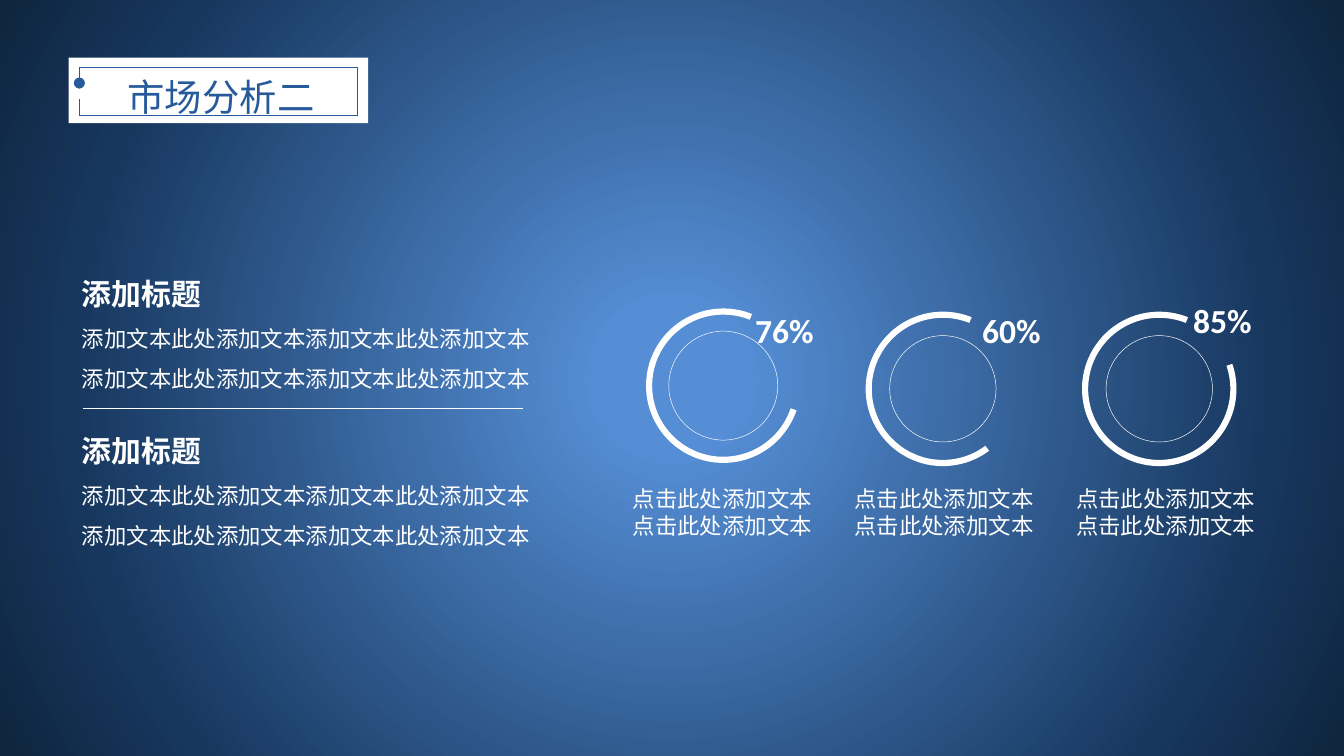
import pptx
import pptx.util
import pptx.oxml
import pptx.oxml.ns
import pptx.dml.color
import pptx.enum.text
import pptx.enum.shapes
from lxml import etree

Cm, Pt = pptx.util.Cm, pptx.util.Pt
KIND = pptx.enum.shapes.MSO_SHAPE
HEX = {"white": "FFFFFF", "blue": "265A9A"}
GLOW = [(9, "558ED5"), (78, "17375E"), (100, "0F243E")]
HAN, LATIN = "Noto Sans CJK SC", "Calibri"

TITLE = "市场分析二"
HEAD = "添加标题"
BODY = ["添加文本此处添加文本添加文本此处添加文本"] * 2
NOTE = ["点击此处添加文本"] * 2
TOPS = [4.75, 7.72]
FRAME = [(1.5, 1.57), (1.5, 1.27), (6.76, 1.27), (6.76, 2.18), (1.5, 2.18), (1.5, 1.88)]
GAUGES = [
    {"label": "76%", "mid": (13.67, 7.29), "core": 2.06, "start": 73.37, "tag": (14.02, 5.74)},
    {"label": "60%", "mid": (17.82, 7.35), "core": 2.01, "start": 94.16, "tag": (18.31, 5.74)},
    {"label": "85%", "mid": (21.91, 7.35), "core": 2.01, "start": 50.87, "tag": (22.3, 5.54)},
]
RING, STEP = 2.92, 4.19


def paint(fmt, name):
    """Give a fill one solid colour."""
    fmt.solid()
    fmt.fore_color.rgb = pptx.dml.color.RGBColor.from_string(HEX[name])


def write(frame, rows, face, color="white", space=None, align=None):
    """Fill a text frame with (text, size, bold) rows."""
    frame.word_wrap = True
    frame.vertical_anchor = pptx.enum.text.MSO_ANCHOR.TOP
    for i, (text, size, bold) in enumerate(rows):
        para = frame.add_paragraph() if i else frame.paragraphs[0]
        para.line_spacing, para.alignment = space, align
        run = para.add_run()
        run.text = text
        font = run.font
        font.size, font.bold, font.name = Pt(size), bold, face
        paint(font.fill, color)
        asian = etree.SubElement(run._r.get_or_add_rPr(), pptx.oxml.ns.qn("a:ea"))
        asian.set("typeface", face)


def label(home, box, rows, face=HAN, space=None):
    """Add a text box."""
    area = home.add_textbox(*map(Cm, box))
    write(area.text_frame, rows, face, space=space)


def shape(home, kind, box, fill=None, line=None):
    """Add a preset shape."""
    item = home.add_shape(kind, *map(Cm, box))
    item.shadow.inherit = False
    if fill:
        paint(item.fill, fill)
    else:
        item.fill.background()
    if line:
        paint(item.line.fill, line)
        item.line.width = Pt(0.25)
    else:
        item.line.fill.background()
    return item


def stroke(home, start, end, color, width):
    """Add a straight line."""
    item = home.add_connector(pptx.enum.shapes.MSO_CONNECTOR.STRAIGHT, *map(Cm, start + end))
    paint(item.line.fill, color)
    item.line.width = Pt(width)
    etree.SubElement(item.element.spPr, pptx.oxml.ns.qn("a:effectLst"))
    return item


def around(mid, size):
    """Return the square box of a size around a point."""
    return mid[0] - size / 2, mid[1] - size / 2, size, size


def backdrop(slide):
    """Set the round gradient behind the slide."""
    stops = "".join(
        f'<a:gs pos="{at * 1000}"><a:srgbClr val="{color}"/></a:gs>' for at, color in GLOW)
    slide.element.cSld.insert(0, pptx.oxml.parse_xml(
        f'<p:bg {pptx.oxml.ns.nsdecls("p", "a")}><p:bgPr><a:gradFill><a:gsLst>{stops}</a:gsLst>'
        '<a:path path="circle"><a:fillToRect l="50000" t="50000" r="50000" b="50000"/></a:path>'
        "</a:gradFill><a:effectLst/></p:bgPr></p:bg>"))


def banner(slide):
    """Draw the title card and its open frame."""
    home = slide.shapes.add_group_shape().shapes
    shape(home, KIND.RECTANGLE, (1.3, 1.09, 5.66, 1.24), "white")
    for i, (start, end) in enumerate(zip(FRAME, FRAME[1:])):
        if i:
            stroke(home, start, end, "blue", 0.25)
        else:
            side = stroke(home, end, start, "blue", 0.25)
            tail = etree.Element(pptx.oxml.ns.qn("a:tailEnd"), type="oval")
            side.line._get_or_add_ln().append(tail)
    title = slide.shapes.title
    title.left, title.top, title.width, title.height = map(Cm, (1.6, 0.86, 5.16, 1.4))
    write(title.text_frame, [(TITLE, 20, False)], HAN, "blue", 1.5,
          pptx.enum.text.PP_ALIGN.CENTER)
    title.element.getparent().append(title.element)


def gauge(slide, i, data):
    """Draw one ring with its share and note."""
    home = slide.shapes.add_group_shape().shapes
    shape(home, KIND.FLOWCHART_CONNECTOR, around(data["mid"], data["core"]), line="white")
    arc = shape(home, KIND.BLOCK_ARC, around(data["mid"], RING), "white")
    arc.rotation = 256.3
    for k, value in enumerate((data["start"], 21.36, 0.04)):
        arc.adjustments[k] = value
    label(home, data["tag"] + (1.7, 0.95), [(data["label"], 18, True)], LATIN)
    label(home, (11.71 + STEP * i, 9.04, 4.32, 1.27), [(text, 12, False) for text in NOTE])


def main():
    """Build the market analysis slide."""
    deck = pptx.Presentation()
    deck.slide_width, deck.slide_height = Cm(25.4), Cm(14.29)
    slide = deck.slides.add_slide(deck.slide_layouts[5])
    backdrop(slide)
    banner(slide)
    for top in TOPS:
        rows = [(HEAD, 16, True)] + [(text, 12, False) for text in BODY]
        label(slide.shapes, (1.3, top, 10.21, 2.82), rows, space=1.5)
    stroke(slide.shapes, (1.57, 7.72), (9.88, 7.72), "white", 0.75)
    for i, data in enumerate(GAUGES):
        gauge(slide, i, data)
    deck.save("out.pptx")


if __name__ == "__main__":
    main()
